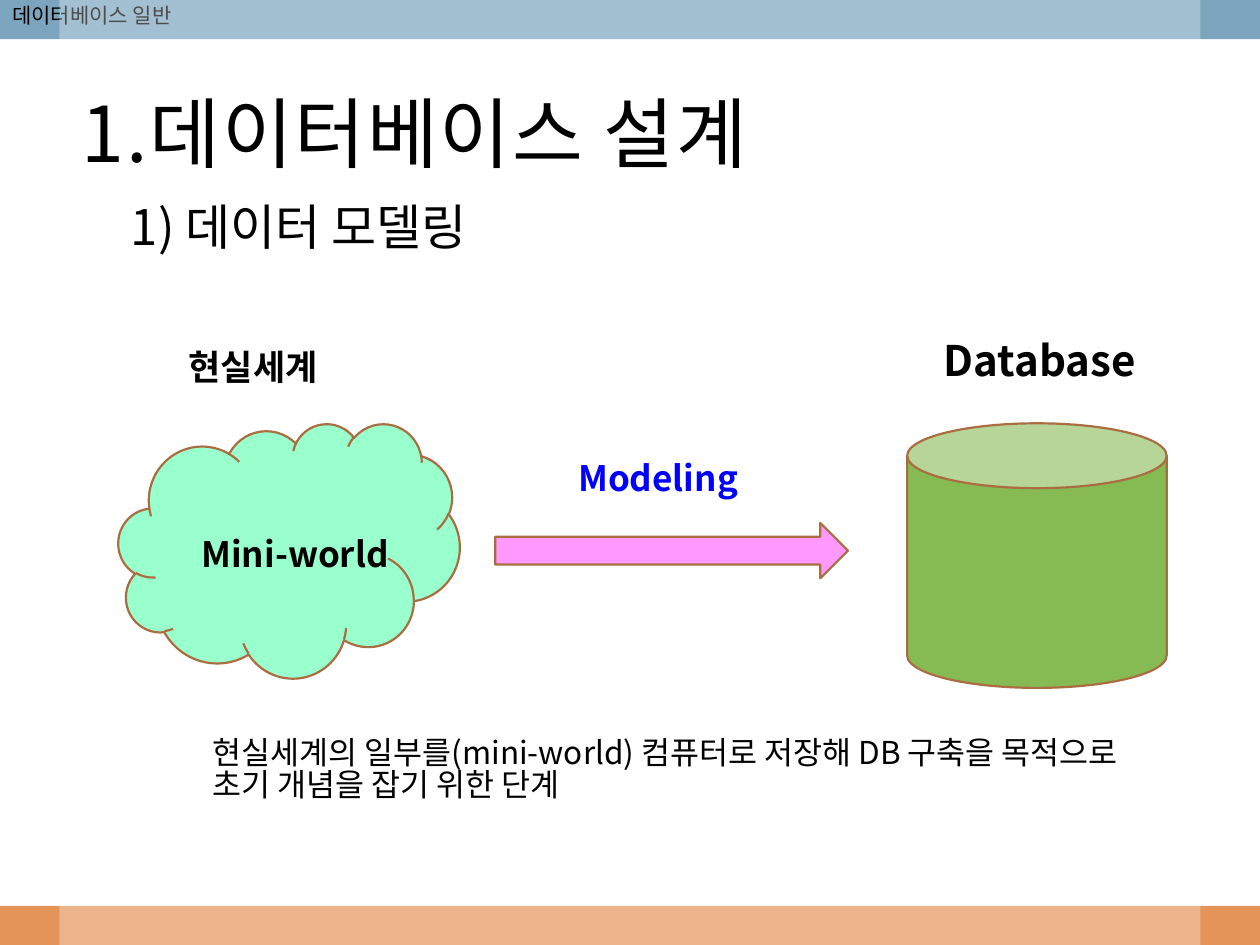
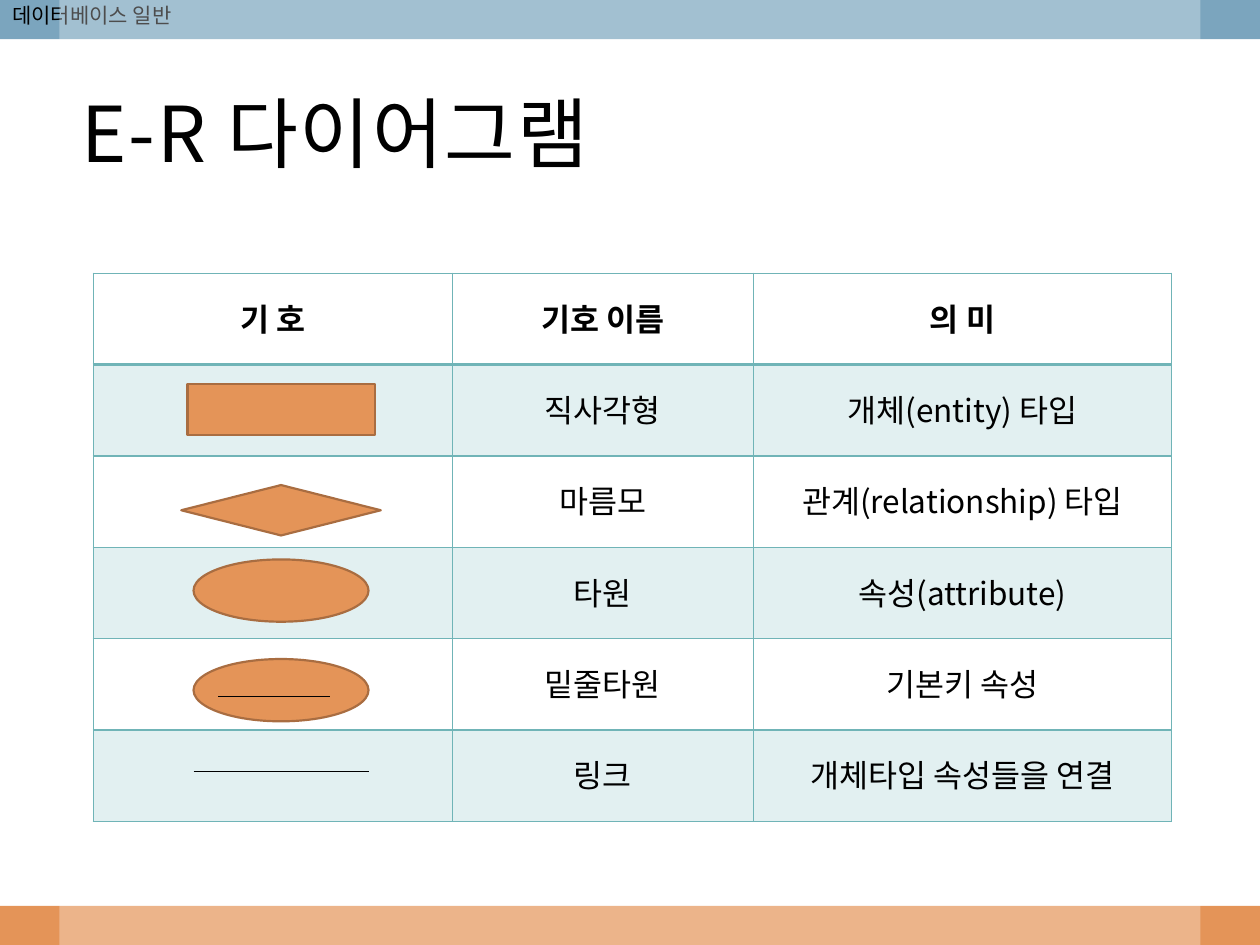
from lxml import etree
from pptx import Presentation
from pptx.dml.color import RGBColor
from pptx.enum.shapes import MSO_CONNECTOR, MSO_SHAPE
from pptx.enum.text import MSO_ANCHOR, MSO_AUTO_SIZE, PP_ALIGN
from pptx.oxml.ns import qn
from pptx.util import Pt

RECTANGLE, ELLIPSE = MSO_SHAPE.RECTANGLE, MSO_SHAPE.OVAL
CLOUD, CAN, RIGHT_ARROW = MSO_SHAPE.CLOUD, MSO_SHAPE.CAN, MSO_SHAPE.RIGHT_ARROW
PROCESS, DECISION = MSO_SHAPE.FLOWCHART_PROCESS, MSO_SHAPE.FLOWCHART_DECISION
STRAIGHT = MSO_CONNECTOR.STRAIGHT
LEFT, CENTER = PP_ALIGN.LEFT, PP_ALIGN.CENTER
TOP, MIDDLE = MSO_ANCHOR.TOP, MSO_ANCHOR.MIDDLE
NO_AUTO_SIZE = MSO_AUTO_SIZE.NONE

FONT = "Noto Sans CJK KR"
COLORS = {
    "text": "000000", "white": "FFFFFF", "header": "7BA5BE", "footer": "E49458",
    "outline": "A96D41", "cloud": "99FFCC", "database": "86BA52", "arrow": "FF99FF",
    "modeling": "0000FF", "border": "70B4B7", "stripe": "E2F0F1", "symbol": "E49458",
}
SLIDE_WIDTH, SLIDE_HEIGHT = 720, 540
BAND_HEIGHT = 22.4
VEIL_MARGIN = 34


def rgb(name):
    return RGBColor.from_string(COLORS[name])


def write_text(frame, text, size=18, color="text", bold=False, align=LEFT,
               line_spacing=0.86, letter_spacing=0):
    """Fill a text frame with one formatted paragraph."""
    paragraph = frame.paragraphs[0]
    paragraph.alignment = align
    paragraph.line_spacing = line_spacing
    run = paragraph.add_run()
    run.text = text
    run.font.name = FONT
    run.font.size = Pt(size)
    run.font.bold = bold
    run.font.color.rgb = rgb(color)
    properties = run.font._element
    if letter_spacing:
        properties.set("spc", str(letter_spacing * 100))
    etree.SubElement(properties, qn("a:ea"), typeface=FONT)


def add_label(slide, text, left, top, width, height, **text_format):
    text_box = slide.shapes.add_textbox(Pt(left), Pt(top), Pt(width), Pt(height))
    text_box.text_frame.word_wrap = True
    write_text(text_box.text_frame, text, **text_format)


def add_figure(slide, kind, left, top, width, height, fill, outline=None, opacity=None):
    shape = slide.shapes.add_shape(kind, Pt(left), Pt(top), Pt(width), Pt(height))
    shape.shadow.inherit = False
    shape.fill.solid()
    shape.fill.fore_color.rgb = rgb(fill)
    if opacity is not None:
        color = shape.element.spPr.find(qn("a:solidFill"))[0]
        etree.SubElement(color, qn("a:alpha"), val=str(opacity * 1000))
    if outline:
        shape.line.color.rgb = rgb(outline)
        shape.line.width = Pt(1.25)
    else:
        shape.line.fill.background()


def add_line(slide, left, right, y):
    connector = slide.shapes.add_connector(STRAIGHT, Pt(left), Pt(y), Pt(right), Pt(y))
    connector.line.color.rgb = rgb("text")
    connector.line.width = Pt(0.5)
    etree.SubElement(connector.element.spPr, qn("a:effectLst"))


def add_base_slide(presentation, title_text):
    """Add a slide with the shared bands, header label, veil and title."""
    slide = presentation.slides.add_slide(presentation.slide_layouts[5])
    add_figure(slide, RECTANGLE, 0, SLIDE_HEIGHT - BAND_HEIGHT, SLIDE_WIDTH, BAND_HEIGHT, "footer")
    add_figure(slide, RECTANGLE, 0, 0, SLIDE_WIDTH, BAND_HEIGHT, "header")
    add_label(slide, "데이터베이스 일반", 0, 0, 124.6, 21.8, size=12)
    add_figure(slide, RECTANGLE, VEIL_MARGIN, 0, SLIDE_WIDTH - 2 * VEIL_MARGIN,
               SLIDE_HEIGHT, "white", opacity=30)

    # The title stands in front of the veil
    title = slide.shapes.title
    title.element.getparent().append(title.element)
    title.left, title.top, title.width, title.height = Pt(39.6), Pt(33.8), Pt(644.4), Pt(90)
    frame = title.text_frame
    frame.auto_size = NO_AUTO_SIZE
    frame.vertical_anchor = MIDDLE
    write_text(frame, title_text, size=44, line_spacing=0.9, letter_spacing=1)
    return slide


def draw_modeling(slide, left, top):
    """Draw the path from the real world to the database."""
    # Figures
    for kind, x, y, width, height, fill in (
        (CLOUD, 0, 50.4, 195, 145.4, "cloud"),
        (CAN, 450.7, 50.4, 148.3, 151.2, "database"),
        (RIGHT_ARROW, 215.3, 107.3, 201.6, 31.7, "arrow"),
    ):
        add_figure(slide, kind, left + x, top + y, width, height, fill, outline="outline")

    # Labels
    for text, x, y, width, height, size, color in (
        ("Modeling", 255.6, 69.1, 114.5, 28, 20, "modeling"),
        ("현실세계", 33.1, 5.8, 108, 32.4, 20, "text"),
        ("Mini-world", 40.3, 113, 128.2, 28, 20, "text"),
        ("Database", 464.4, 0, 134.6, 32.4, 24, "text"),
    ):
        add_label(slide, text, left + x, top + y, width, height,
                  size=size, color=color, bold=True)

    # Explanation
    add_label(slide, "현실세계의 일부를(mini-world) 컴퓨터로 저장해 DB 구축을 목적으로 "
              "초기 개념을 잡기 위한 단계", left + 46.8, top + 226.8, 538.6, 45.4)


def set_borders(cell, top_width, bottom_width):
    properties = cell._tc.get_or_add_tcPr()
    for side, width in (("L", 1), ("R", 1), ("T", top_width), ("B", bottom_width)):
        line = etree.SubElement(properties, qn(f"a:ln{side}"), w=str(Pt(width)))
        fill = etree.SubElement(line, qn("a:solidFill"))
        etree.SubElement(fill, qn("a:srgbClr"), val=COLORS["border"])


def draw_symbol_table(slide, left, top, column_widths, row_height):
    rows = (
        ("기 호", "기호 이름", "의 미"),
        ("", "직사각형", "개체(entity) 타입"),
        ("", "마름모", "관계(relationship) 타입"),
        ("", "타원", "속성(attribute)"),
        ("", "밑줄타원", "기본키 속성"),
        ("", "링크", "개체타입 속성들을 연결"),
    )
    table = slide.shapes.add_table(
        len(rows), len(column_widths), Pt(left), Pt(top),
        Pt(sum(column_widths)), Pt(row_height * len(rows))).table
    for column, width in zip(table.columns, column_widths):
        column.width = Pt(width)
    for row_index, texts in enumerate(rows):
        table.rows[row_index].height = Pt(row_height)
        for column_index, text in enumerate(texts):
            cell = table.cell(row_index, column_index)
            cell.vertical_anchor = MIDDLE
            set_borders(cell, 2 if row_index == 1 else 1, 2 if row_index == 0 else 1)
            if row_index % 2:
                cell.fill.solid()
                cell.fill.fore_color.rgb = rgb("stripe")
            else:
                cell.fill.background()
            if text:
                write_text(cell.text_frame, text, bold=row_index == 0,
                           align=CENTER, line_spacing=0.9)


def draw_symbols(slide, left, top):
    """Draw the E-R symbols over the first table column."""
    center = left + 107.3
    for kind, y, width, height in (
        (PROCESS, 63.4, 107, 28.8),
        (DECISION, 121, 114, 28.8),
        (ELLIPSE, 163.5, 100, 35.6),
        (ELLIPSE, 220.4, 100, 35.6),
    ):
        add_figure(slide, kind, center - width / 2, top + y, width, height,
                   "symbol", outline="outline")

    # Key underline and link
    add_line(slide, left + 71.3, left + 135.4, top + 242)
    add_line(slide, center - 50, center + 50, top + 284.8)


def main():
    presentation = Presentation()
    presentation.slide_width, presentation.slide_height = Pt(SLIDE_WIDTH), Pt(SLIDE_HEIGHT)

    # Database design
    slide = add_base_slide(presentation, "1.데이터베이스 설계")
    draw_modeling(slide, 67.7, 191.5)
    add_label(slide, "1) 데이터 모델링", 67.7, 112.3, 303.8, 41, size=28, line_spacing=0.9)

    # E-R diagram symbols
    slide = add_base_slide(presentation, "E-R 다이어그램")
    draw_symbol_table(slide, 53.3, 156.2, (205.2, 172, 239), 52.2)
    draw_symbols(slide, 53.3, 156.2)

    presentation.save("out.pptx")


if __name__ == "__main__":
    main()
